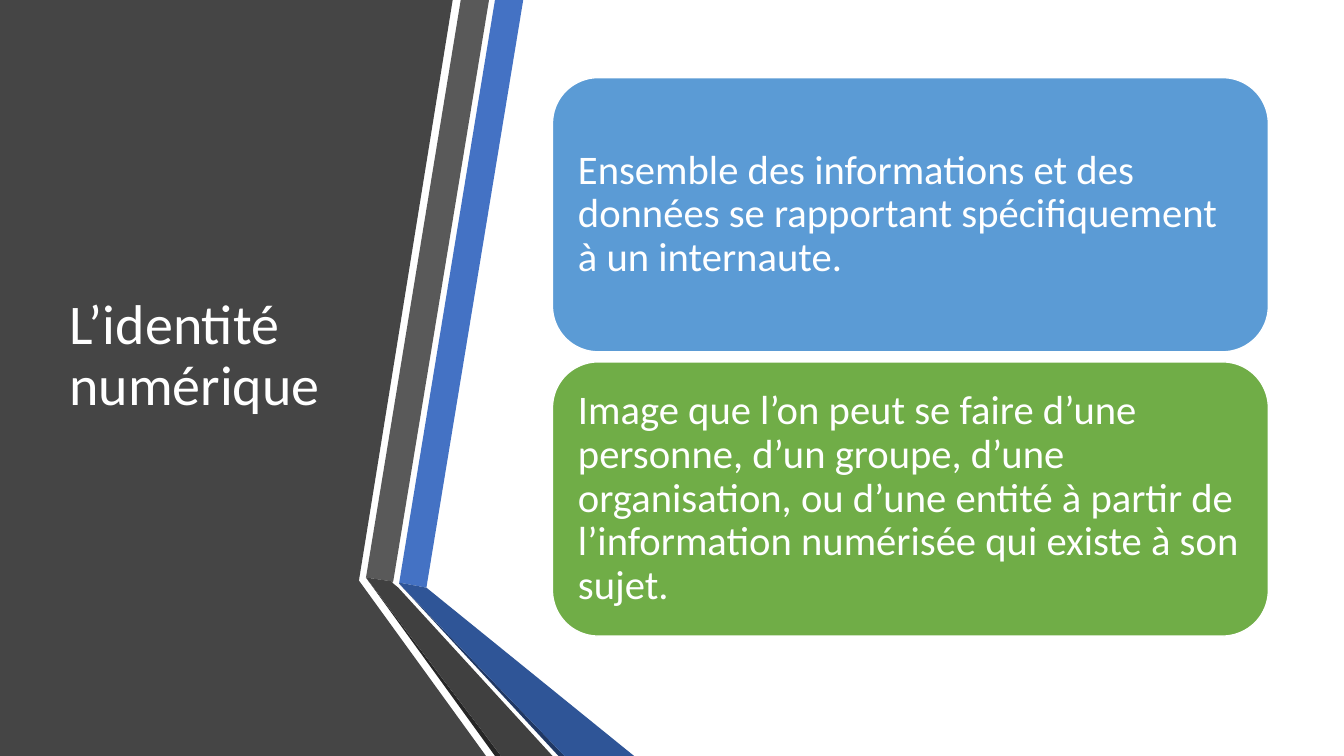
from pptx import Presentation
from pptx.dml.color import RGBColor
from pptx.enum.shapes import MSO_SHAPE as Preset
from pptx.enum.text import MSO_ANCHOR as Anchor, PP_ALIGN as Align
from pptx.util import Inches, Pt

# The slide is a grid of 1333 columns by 750 rows, one cell per 0.01 inch
CELL = Inches(0.01)
COLUMNS, ROWS = 1333, 750
FONT = "Calibri"
WHITE = "FFFFFF"

# Side panel and folded ribbons, from back to front: colour and corners
PANEL_AND_RIBBONS = [
    ("454545", [(0, 0), (449, 0), (356, 576), (482, ROWS), (0, ROWS)]),
    ("4472C4", [(396, 578), (423, 583), (519, 0), (491, 0)]),
    ("595959", [(485, 0), (457, 0), (363, 573), (390, 577)]),
    ("262626", [(363, 573), (491, ROWS), (497, ROWS)]),
    ("203864", [(396, 579), (554, ROWS), (560, ROWS)]),
    ("2F5597", [(396, 578), (396, 579), (560, ROWS), (629, ROWS), (423, 583)]),
    ("404040", [(363, 573), (497, ROWS), (548, ROWS), (395, 583),
                (389, 578), (390, 577)]),
]

TITLE = "L’identité numérique"
DEFINITIONS = [
    ("5B9BD5", "Ensemble des informations et des données se rapportant "
               "spécifiquement à un internaute."),
    ("70AD47", "Image que l’on peut se faire d’une personne, d’un groupe, "
               "d’une organisation, ou d’une entité à partir de "
               "l’information numérisée qui existe à son sujet."),
]
CARD_LEFT, CARD_TOP, CARD_WIDTH, CARD_HEIGHT, CARD_GAP = 548, 77, 710, 272, 10


def color(hex_string):
    return RGBColor.from_string(hex_string)


def paint(shape, fill):
    shape.shadow.inherit = False
    shape.fill.solid()
    shape.fill.fore_color.rgb = color(fill)


def add_outline(slide, fill, corners):
    builder = slide.shapes.build_freeform(*corners[0], scale=CELL)
    builder.add_line_segments(corners[1:], close=True)
    shape = builder.convert_to_shape()
    paint(shape, fill)
    shape.line.fill.background()


def write(shape, text, size, side_inset, top_inset):
    frame = shape.text_frame
    frame.text = text
    frame.word_wrap = True
    frame.vertical_anchor = Anchor.MIDDLE
    frame.margin_left = frame.margin_right = CELL * side_inset
    frame.margin_top = frame.margin_bottom = CELL * top_inset
    paragraph = frame.paragraphs[0]
    paragraph.alignment = Align.LEFT
    paragraph.line_spacing = 0.9
    font = paragraph.runs[0].font
    font.name, font.size = FONT, Pt(size)
    font.color.rgb = color(WHITE)


def add_title(slide, text):
    box = slide.shapes.add_textbox(*(CELL * n for n in (59, 75, 304, 558)))
    write(box, text, 40, side_inset=10, top_inset=5)


def add_card(slide, row, fill, text):
    top = CARD_TOP + row * (CARD_HEIGHT + CARD_GAP)
    bounds = (CARD_LEFT, top, CARD_WIDTH, CARD_HEIGHT)
    card = slide.shapes.add_shape(Preset.ROUNDED_RECTANGLE,
                                  *(CELL * n for n in bounds))
    paint(card, fill)
    card.line.color.rgb = color(WHITE)
    card.line.width = Pt(1)
    # The rounded corners already push the text inwards
    write(card, text, 29, side_inset=12, top_inset=12)


def main():
    presentation = Presentation()
    presentation.slide_width = CELL * COLUMNS
    presentation.slide_height = CELL * ROWS
    slide = presentation.slides.add_slide(presentation.slide_layouts[6])

    # Left side: panel, ribbons and title
    for fill, corners in PANEL_AND_RIBBONS:
        add_outline(slide, fill, corners)
    add_title(slide, TITLE)

    # Right side: one card per definition
    for row, (fill, text) in enumerate(DEFINITIONS):
        add_card(slide, row, fill, text)

    presentation.save("out.pptx")


main()
